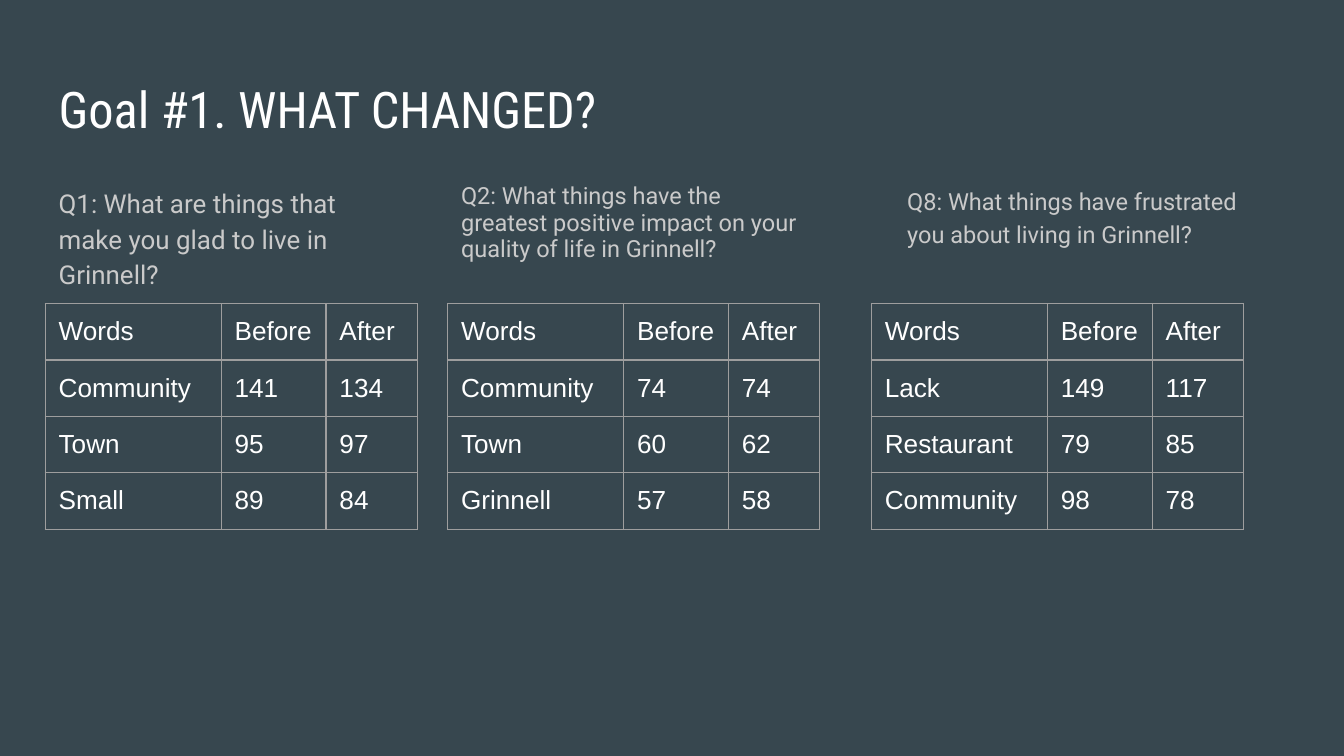
"""Builds the slide that compares word counts before and after for three questions."""
import pptx
import pptx.util
import pptx.dml.color
import pptx.enum.text
import pptx.oxml
import pptx.oxml.ns

Pt = pptx.util.Pt
Color = pptx.dml.color.RGBColor
Anchor = pptx.enum.text.MSO_ANCHOR

BACK = Color(0x37, 0x47, 0x4F)
WHITE = Color(0xFF, 0xFF, 0xFF)
GRAY = Color(0xCA, 0xCA, 0xCA)
LINE = Color(0x9E, 0x9E, 0x9E)

TITLE = "Goal #1. WHAT CHANGED?"
HEAD = ("Words", "Before", "After")
GROUPS = [
    {"ask": "Q1: What are things that make you glad to live in Grinnell?",
     "left": 24.2, "shift": 0, "size": 13.9, "gap": 1.15,
     "rows": [("Community", 141, 134), ("Town", 95, 97), ("Small", 89, 84)]},
    {"ask": "Q2: What things have the greatest positive impact on your "
            "quality of life in Grinnell?",
     "left": 239.8, "shift": 0, "size": 12.6, "gap": 0.95,
     "rows": [("Community", 74, 74), ("Town", 60, 62), ("Grinnell", 57, 58)]},
    {"ask": "Q8: What things have frustrated you about living in Grinnell?",
     "left": 466.8, "shift": 12, "size": 12.6, "gap": 1.15,
     "rows": [("Lack", 149, 117), ("Restaurant", 79, 85), ("Community", 98, 78)]},
]
WIDTHS = (94.3, 56.2, 48.8)
ROW = 30.2
PAD = 7.2


def place(shape, left, top, width, height):
    shape.left, shape.top = Pt(left), Pt(top)
    shape.width, shape.height = Pt(width), Pt(height)


def write(frame, text, font="Arial", size=14, color=WHITE, gap=1.0, after=0):
    frame.word_wrap = True
    frame.text = str(text)
    para = frame.paragraphs[0]
    para.alignment = pptx.enum.text.PP_ALIGN.LEFT
    para.line_spacing = gap
    para.space_before, para.space_after = Pt(0), Pt(after)
    props = para._p.get_or_add_pPr()
    props.set("marL", "0")
    props.set("indent", "0")
    pptx.oxml.ns.qn("a:buNone")
    props.append(pptx.oxml.parse_xml(f'<a:buNone {pptx.oxml.ns.nsdecls("a")}/>'))
    face = para.runs[0].font
    face.name, face.size, face.bold = font, Pt(size), False
    face.color.rgb = color


def fill(shape, text, anchor, **look):
    frame = shape.text_frame
    frame.auto_size = pptx.enum.text.MSO_AUTO_SIZE.NONE
    frame.vertical_anchor = anchor
    frame.margin_left = frame.margin_right = Pt(PAD)
    frame.margin_top = frame.margin_bottom = Pt(PAD)
    write(frame, text, **look)


def border(cell):
    props = cell._tc.get_or_add_tcPr()
    for at, side in enumerate(("lnL", "lnR", "lnT", "lnB")):
        props.insert(at, pptx.oxml.parse_xml(
            f'<a:{side} {pptx.oxml.ns.nsdecls("a")} w="{Pt(0.75)}"><a:solidFill>'
            f'<a:srgbClr val="{LINE}"/></a:solidFill></a:{side}>'))


def grid(slide, left, top, rows):
    table = slide.shapes.add_table(len(rows), len(WIDTHS), Pt(left), Pt(top),
                                   Pt(sum(WIDTHS)), Pt(ROW * len(rows))).table
    table.first_row = table.horz_banding = False
    for col, width in zip(table.columns, WIDTHS):
        col.width = Pt(width)
    for r, row in enumerate(rows):
        table.rows[r].height = Pt(ROW)
        for c, text in enumerate(row):
            cell = table.cell(r, c)
            cell.margin_left = cell.margin_right = Pt(PAD)
            cell.margin_top = cell.margin_bottom = Pt(PAD)
            cell.fill.background()
            border(cell)
            write(cell.text_frame, text)


def main():
    deck = pptx.Presentation()
    deck.slide_width, deck.slide_height = Pt(720), Pt(405)
    slide = deck.slides.add_slide(deck.slide_layouts[4])
    slide.background.fill.solid()
    slide.background.fill.fore_color.rgb = BACK
    title, *bodies = slide.placeholders
    place(title, 24.2, 35.3, 671, 45.4)
    fill(title, TITLE, Anchor.MIDDLE, font="Roboto Condensed", size=27)
    for body, group in zip(bodies, GROUPS):
        place(body, group["left"] + group["shift"], 90.7, 198.7, 61.2)
        fill(body, group["ask"], Anchor.TOP, font="Roboto", size=group["size"],
             color=GRAY, gap=group["gap"], after=12)
        grid(slide, group["left"], 162.7, [HEAD] + group["rows"])
    for spare in bodies[len(GROUPS):]:
        spare.element.getparent().remove(spare.element)


    deck.save("out.pptx")


if __name__ == "__main__":
    main()
